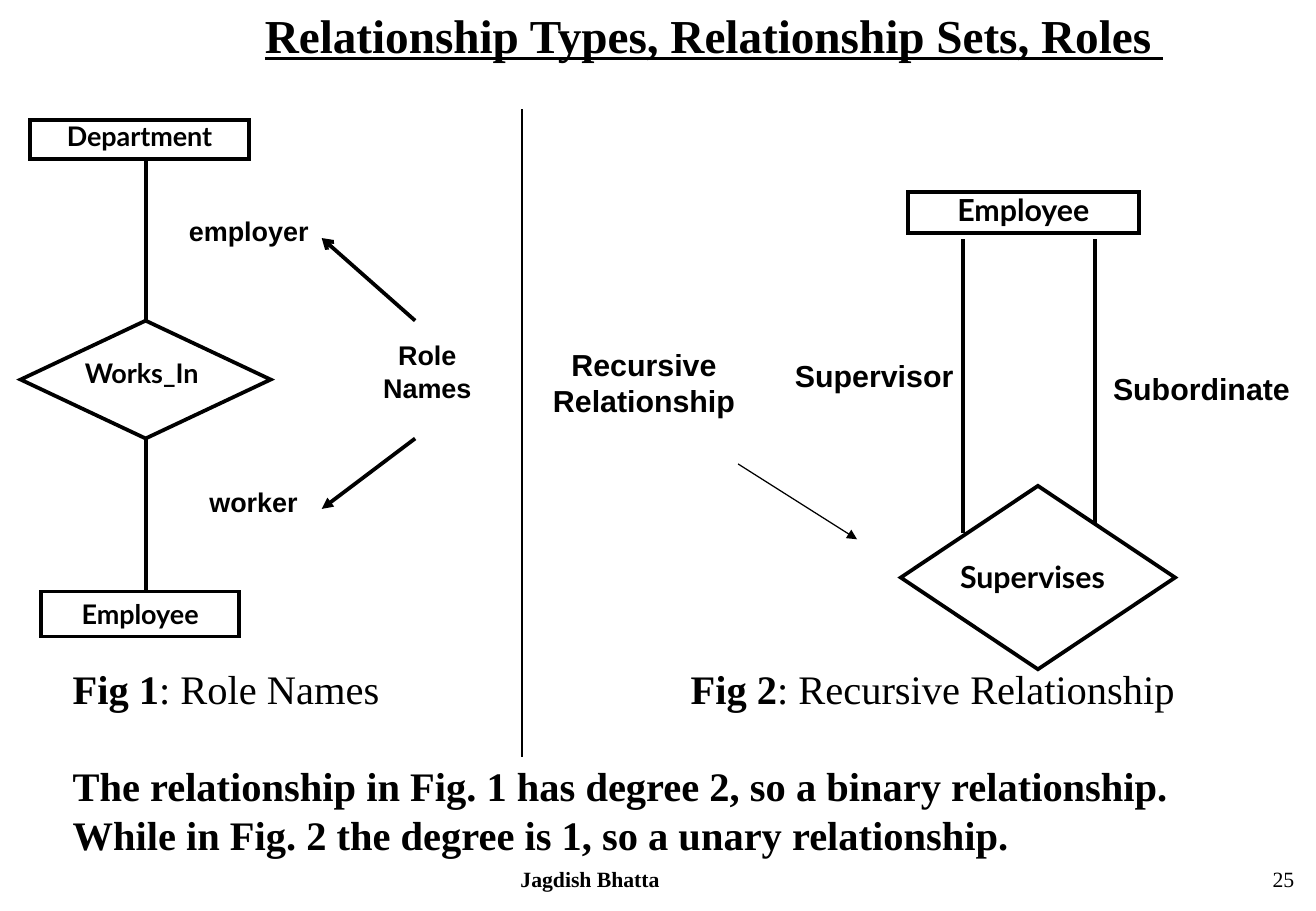
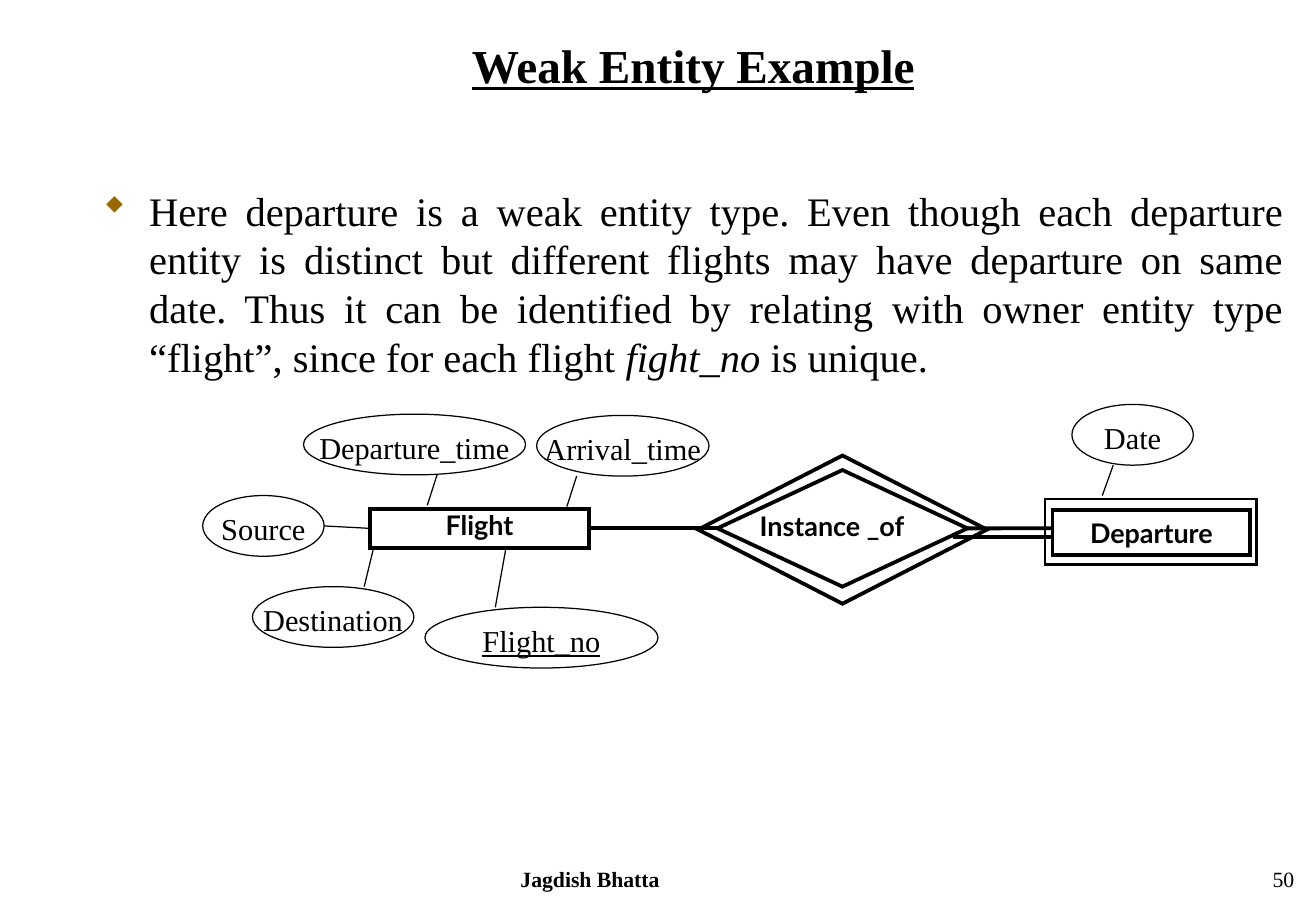
from lxml import etree
from pptx import Presentation
from pptx.dml.color import RGBColor
from pptx.enum.shapes import MSO_CONNECTOR, MSO_SHAPE
from pptx.enum.text import MSO_ANCHOR, PP_ALIGN
from pptx.oxml.ns import qn
from pptx.util import Inches, Pt

RECTANGLE, DIAMOND, ELLIPSE = MSO_SHAPE.RECTANGLE, MSO_SHAPE.DIAMOND, MSO_SHAPE.OVAL
LEFT, CENTER, RIGHT, JUSTIFY = PP_ALIGN.LEFT, PP_ALIGN.CENTER, PP_ALIGN.RIGHT, PP_ALIGN.JUSTIFY
STRAIGHT = MSO_CONNECTOR.STRAIGHT
TOP_SIDE, LEFT_SIDE, BOTTOM_SIDE, RIGHT_SIDE = range(4)

WIDTH, HEIGHT = 10.84, 7.5
COLORS = {"ink": "000000", "paper": "FFFFFF", "bullet": "996600"}
SERIF, SANS, ENTITY = "Times New Roman", "Arial", "Lato"
BULLET_FONT, BULLET_DIAMOND = "Wingdings", "w"
THICK, MEDIUM, THIN = 2.25, 1.5, 0.75
TIGHT, SINGLE = 0.8, 1.0
AUTHOR = "Jagdish Bhatta"

ROLES = {
    "title": ("Relationship Types, Relationship Sets, Roles ", (0.92, 0, 9.92, 1.08)),
    "number": "25",
    # name: (kind, box, line width)
    "nodes": {
        "department": (RECTANGLE, (0.25, 0.99, 1.8, 0.32), THICK),
        "works in": (DIAMOND, (0.17, 2.64, 2.06, 0.97), THICK),
        "worker": (RECTANGLE, (0.34, 4.87, 1.63, 0.37), THICK),
        "staff": (RECTANGLE, (7.48, 1.58, 1.9, 0.34), THICK),
        "supervises": (DIAMOND, (7.42, 4, 2.26, 1.51), THICK),
    },
    # node: (text, size, line spacing)
    "node texts": {
        "department": ("Department", 16, TIGHT),
        "worker": ("Employee", 16, SINGLE),
        "staff": ("Employee", 18, TIGHT),
    },
    # text, box, font, size, alignment, line spacing
    "labels": [
        ("Works_In", (0.6, 2.94, 1.22, 0.32), ENTITY, 16, LEFT, TIGHT),
        ("employer", (1.34, 1.77, 1.3, 0.32), SANS, 16, RIGHT, TIGHT),
        ("worker", (1.45, 4, 1.1, 0.32), SANS, 16, RIGHT, TIGHT),
        ("Role\nNames", (2.92, 2.74, 1.2, 0.64), SANS, 16, CENTER, SINGLE),
        ("Recursive\nRelationship", (4.31, 2.8, 1.99, 0.7), SANS, 18, CENTER, SINGLE),
        ("Supervisor", (6.45, 2.89, 1.64, 0.4), SANS, 18, LEFT, SINGLE),
        ("Subordinate", (9.07, 3.06, 1.76, 0.34), SANS, 18, LEFT, TIGHT),
        ("Supervises", (7.81, 4.6, 1.53, 0.34), ENTITY, 18, LEFT, TIGHT),
    ],
    # start, end, line width, arrowhead at the end; an end is a point or (node, side)
    "lines": [
        (("works in", TOP_SIDE), (1.2, 1.31), THICK, None),
        (("works in", BOTTOM_SIDE), (1.2, 4.87), THICK, None),
        ((3.42, 2.64), (2.65, 1.96), THICK, "arrow"),
        ((3.42, 3.61), (2.65, 4.19), THICK, "triangle"),
        ((6.08, 3.82), (7.06, 4.44), THIN, "triangle"),
        ((7.93, 1.97), (7.93, 4.39), THICK, None),
        ((9.02, 1.97), (9.02, 4.31), THICK, None),
        ((4.3, 0.9), (4.3, 6.23), THIN, None),
    ],
}
CAPTIONS = [
    ("Fig 1", ": Role Names", (0.5, 5.42, 3.7, 0.5)),
    ("Fig 2", ": Recursive Relationship", (5.59, 5.42, 4.91, 0.5)),
]
DEGREES = (
    "The relationship in Fig. 1 has degree 2, so a binary relationship. "
    "While in Fig. 2 the degree is 1, so a unary relationship."
)

WEAK = {
    "title": ("Weak Entity Example", (0.75, 0.25, 9.92, 0.6)),
    "number": "50",
    "nodes": {
        "instance border": (DIAMOND, (5.75, 3.75, 2.38, 1.22), THICK),
        "instance": (DIAMOND, (5.91, 3.87, 2.06, 0.96), THICK),
        "departure border": (RECTANGLE, (8.61, 4.11, 1.74, 0.54), MEDIUM),
        "departure": (RECTANGLE, (8.67, 4.2, 1.63, 0.37), THICK),
        "flight": (RECTANGLE, (3.05, 4.19, 1.8, 0.32), THICK),
    },
    "node texts": {
        "departure": ("Departure", 16, SINGLE),
        "flight": ("Flight", 16, TIGHT),
    },
    "labels": [("Instance _of", (6.16, 4.2, 1.53, 0.32), ENTITY, 16, LEFT, TIGHT)],
    "lines": [
        (("flight", RIGHT_SIDE), ("instance", LEFT_SIDE), THICK, None),
        (("instance", RIGHT_SIDE), (8.67, 4.35), THICK, None),
        ((7.85, 4.42), (8.67, 4.42), THICK, None),
        ((9.17, 3.83), (9.08, 4.08), THIN, None),
        ((4.75, 3.92), (4.67, 4.17), THIN, None),
        ((4.17, 4.5), (4.08, 5), THIN, None),
        ((3.6, 3.91), (3.52, 4.16), THIN, None),
        ((3.08, 4.5), (3, 4.83), THIN, None),
        ((2.67, 4.33), ("flight", LEFT_SIDE), THIN, None),
    ],
}
# text, left, top, width, whether it is the key
ATTRIBUTES = [
    ("Date", 8.83, 3.33, 1, False),
    ("Arrival_time", 4.42, 3.42, 1.42, False),
    ("Flight_no", 3.5, 5, 1.92, True),
    ("Departure_time", 2.5, 3.41, 1.83, False),
    ("Source", 1.67, 4.08, 1, False),
    ("Destination", 2.08, 4.83, 1.33, False),
]
ATTRIBUTE_HEIGHT = 0.5
EXPLANATION = [
    ("Here departure is a weak entity type. Even though each departure entity is "
     "distinct but different flights may have departure on same date. Thus it can be "
     "identified by relating with owner entity type “flight”, since for each flight ", False),
    ("fight_no ", True),
    ("is unique.", False),
]
EXPLANATION_BOX = (0.75, 1.48, 9.92, 1.75)
HANGING = 0.38


def color(name):
    return RGBColor.from_string(COLORS[name])


def style_run(run, font, size, bold=False, italic=False, underline=False):
    run.font.name, run.font.size = font, Pt(size)
    run.font.bold, run.font.italic, run.font.underline = bold, italic, underline
    run.font.color.rgb = color("ink")


def write(shape, text, font, size, align=LEFT, spacing=SINGLE, wrap=False, **look):
    frame = shape.text_frame
    frame.text = text
    frame.word_wrap = wrap
    frame.vertical_anchor = MSO_ANCHOR.TOP
    for paragraph in frame.paragraphs:
        paragraph.alignment = align
        paragraph.line_spacing = spacing
        for run in paragraph.runs:
            style_run(run, font, size, **look)


def add_text(slide, box, *content, **look):
    shape = slide.shapes.add_textbox(*map(Inches, box))
    write(shape, *content, wrap=True, **look)


def add_rich_text(slide, box, runs, size):
    """Add one paragraph from (text, look) pairs."""
    frame = slide.shapes.add_textbox(*map(Inches, box)).text_frame
    frame.word_wrap = True
    paragraph = frame.paragraphs[0]
    for text, look in runs:
        run = paragraph.add_run()
        run.text = text
        style_run(run, SERIF, size, **look)
    return paragraph


def add_node(slide, kind, box, line_width):
    """Add a white shape with an ink outline and sharp corners."""
    shape = slide.shapes.add_shape(kind, *map(Inches, box))
    shape.shadow.inherit = False
    shape.fill.solid()
    shape.fill.fore_color.rgb = color("paper")
    shape.line.color.rgb = color("ink")
    shape.line.width = Pt(line_width)
    etree.SubElement(shape._element.spPr.find(qn("a:ln")), qn("a:miter"), lim="800000")
    return shape


def add_line(slide, nodes, start, end, line_width, arrowhead):
    glued = [isinstance(place[0], str) for place in (start, end)]
    points = [(0, 0) if joined else place for joined, place in zip(glued, (start, end))]
    line = slide.shapes.add_connector(STRAIGHT, *(Inches(value) for point in points for value in point))
    joins = (line.begin_connect, line.end_connect)
    for joined, place, join in zip(glued, (start, end), joins):
        if joined:
            join(nodes[place[0]], place[1])
    line.line.color.rgb = color("ink")
    line.line.width = Pt(line_width)
    properties = line._element.spPr
    if arrowhead:
        etree.SubElement(properties.find(qn("a:ln")), qn("a:tailEnd"), type=arrowhead)
    etree.SubElement(properties, qn("a:effectLst"))


def add_bullet(paragraph):
    properties = paragraph._p.get_or_add_pPr()
    properties.set("marL", str(Inches(HANGING)))
    properties.set("indent", str(-Inches(HANGING)))
    bullet_color = etree.SubElement(properties, qn("a:buClr"))
    etree.SubElement(bullet_color, qn("a:srgbClr"), val=COLORS["bullet"])
    etree.SubElement(properties, qn("a:buFont"), typeface=BULLET_FONT, charset="2")
    etree.SubElement(properties, qn("a:buChar"), char=BULLET_DIAMOND)


def add_diagram_slide(presentation, content):
    """Add a slide with title, footer and the diagram's nodes, labels and lines."""
    slide = presentation.slides.add_slide(presentation.slide_layouts[6])
    title, title_box = content["title"]
    add_text(slide, title_box, title, SERIF, 28, CENTER, bold=True, underline=True)
    add_text(slide, (2.83, 7.08, 4.06, 0.33), AUTHOR, SERIF, 12.9, CENTER, bold=True)
    add_text(slide, (8.5, 7.08, 2.26, 0.33), content["number"], SERIF, 12.9, RIGHT)

    nodes = {name: add_node(slide, *node) for name, node in content["nodes"].items()}
    for name, (text, size, spacing) in content["node texts"].items():
        write(nodes[name], text, ENTITY, size, CENTER, spacing, bold=True)
    for text, box, *look in content["labels"]:
        add_text(slide, box, text, *look, bold=True)
    for line in content["lines"]:
        add_line(slide, nodes, *line)
    return slide


def build_roles(presentation):
    slide = add_diagram_slide(presentation, ROLES)
    for figure, caption, box in CAPTIONS:
        add_rich_text(slide, box, [(figure, {"bold": True}), (caption, {})], 24)
    add_text(slide, (0.5, 6.22, 10, 0.9), DEGREES, SERIF, 24, bold=True)


def build_weak_entity(presentation):
    slide = add_diagram_slide(presentation, WEAK)
    runs = [(text, {"italic": italic}) for text, italic in EXPLANATION]
    paragraph = add_rich_text(slide, EXPLANATION_BOX, runs, 24)
    add_bullet(paragraph)
    paragraph.alignment = JUSTIFY
    for text, left, top, width, is_key in ATTRIBUTES:
        ellipse = add_node(slide, ELLIPSE, (left, top, width, ATTRIBUTE_HEIGHT), THIN)
        write(ellipse, text, SERIF, 18, CENTER, underline=is_key)


def main():
    presentation = Presentation()
    presentation.slide_width, presentation.slide_height = Inches(WIDTH), Inches(HEIGHT)
    build_roles(presentation)
    build_weak_entity(presentation)
    presentation.save("out.pptx")


if __name__ == "__main__":
    main()
